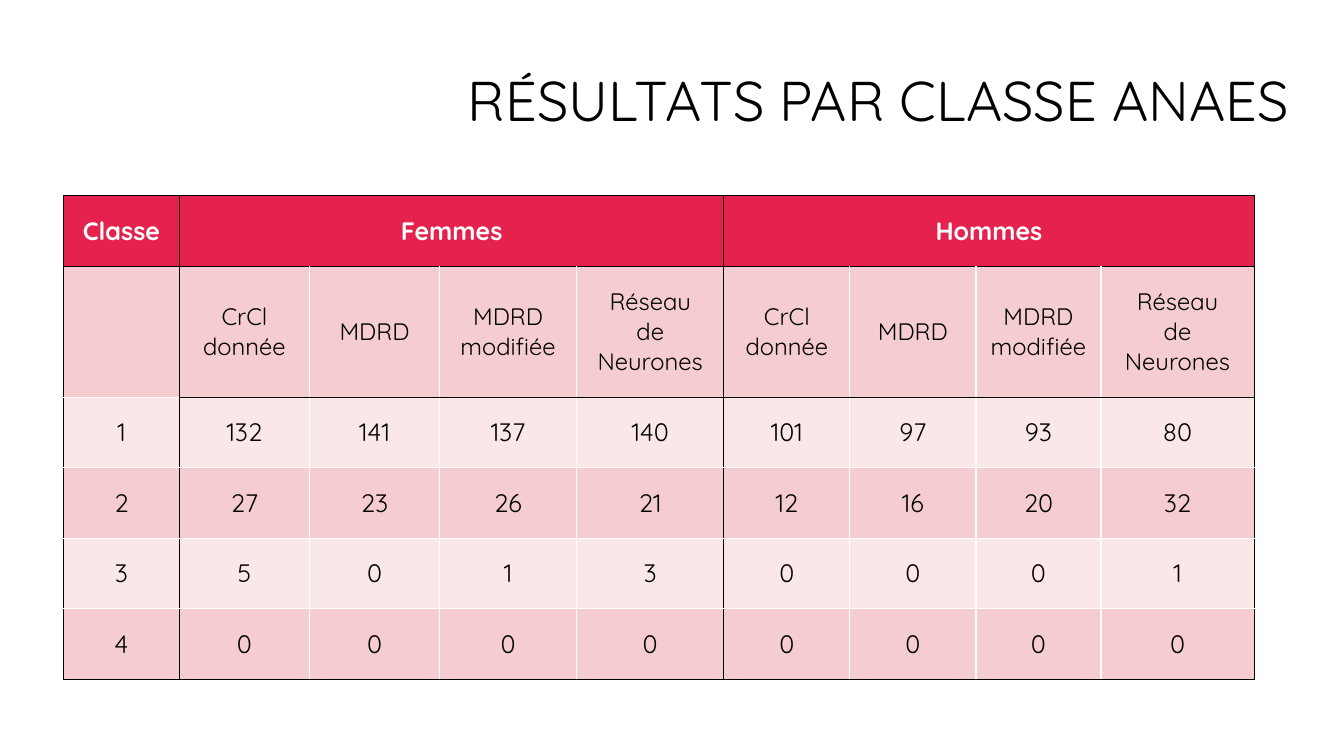
from lxml import etree
from pptx import Presentation
from pptx import util as u
from pptx.dml.color import RGBColor
from pptx.enum import text
from pptx.oxml.ns import qn

FONT = "Quicksand"
COLORS = {
    "black": "000000",
    "white": "FFFFFF",
    "header": "E5224E",
    "dark_band": "F5CDD0",
    "light_band": "FAE8E9",
}
COLUMN_WIDTHS = [1.15, 1.29, 1.29, 1.36, 1.46, 1.25, 1.25, 1.24, 1.52]
ROW_HEIGHTS = [0.7, 1.3, 0.7, 0.7, 0.7, 0.7]
GROUP_EDGES = (0, 1, 5, 9)
METHODS = ["CrCl donnée", "MDRD", "MDRD modifiée", "Réseau\nde Neurones"]
ROWS = [
    ["Classe", "Femmes", "", "", "", "Hommes", "", "", ""],
    [""] + METHODS * 2,
    [1, 132, 141, 137, 140, 101, 97, 93, 80],
    [2, 27, 23, 26, 21, 12, 16, 20, 32],
    [3, 5, 0, 1, 3, 0, 0, 0, 1],
    [4, 0, 0, 0, 0, 0, 0, 0, 0],
]


def write_text(text_frame, content, size, color, alignment, bold=False):
    text_frame.text = content
    for paragraph in text_frame.paragraphs:
        paragraph.alignment = alignment
        for run in paragraph.runs:
            run.font.name = FONT
            run.font.size = u.Pt(size)
            run.font.bold = bold
            run.font.color.rgb = RGBColor.from_string(COLORS[color])


def add_title(slide, content):
    title = slide.shapes.add_textbox(
        u.Inches(3.46), u.Inches(0.32), u.Inches(9.42), u.Inches(1.41))
    title.text_frame.word_wrap = True
    title.text_frame.vertical_anchor = text.MSO_ANCHOR.MIDDLE
    write_text(title.text_frame, content, 40, "black", text.PP_ALIGN.RIGHT)
    title.text_frame.paragraphs[0].line_spacing = 0.9


def horizontal_edge_color(edge, column):
    if edge in (0, 1, len(ROWS)) or (edge == 2 and column > 0):
        return "black"
    return "white"


def vertical_edge_color(edge, row):
    return "black" if row == 0 or edge in GROUP_EDGES else "white"


def draw_borders(cell, row, column):
    properties = cell._tc.get_or_add_tcPr()
    borders = {
        "a:lnL": vertical_edge_color(column, row),
        "a:lnR": vertical_edge_color(column + 1, row),
        "a:lnT": horizontal_edge_color(row, column),
        "a:lnB": horizontal_edge_color(row + 1, column),
    }
    for tag, color in borders.items():
        line = etree.SubElement(properties, qn(tag), w=str(u.Pt(1)))
        fill = etree.SubElement(line, qn("a:solidFill"))
        etree.SubElement(fill, qn("a:srgbClr"), val=COLORS[color])


def format_cell(cell, row, column):
    is_header = row == 0
    band = "header" if is_header else "dark_band" if row % 2 else "light_band"
    if row > 1:
        band = "light_band" if row % 2 == 0 else "dark_band"
    if row in (3, 5):
        band = "dark_band"
    if row == 4:
        band = "light_band"
    draw_borders(cell, row, column)
    cell.fill.solid()
    cell.fill.fore_color.rgb = RGBColor.from_string(COLORS[band])
    cell.vertical_anchor = text.MSO_ANCHOR.MIDDLE
    write_text(cell.text_frame, str(ROWS[row][column]), 17 if row == 1 else 18,
               "white" if is_header else "black",
               text.PP_ALIGN.CENTER, is_header)


def add_results_table(slide):
    frame = slide.shapes.add_table(
        len(ROWS), len(COLUMN_WIDTHS), u.Inches(0.63), u.Inches(1.94),
        u.Inches(sum(COLUMN_WIDTHS)), u.Inches(sum(ROW_HEIGHTS)))
    table = frame.table
    for column, width in zip(table.columns, COLUMN_WIDTHS):
        column.width = u.Inches(width)
    for row, height in zip(table.rows, ROW_HEIGHTS):
        row.height = u.Inches(height)
    for row in range(len(ROWS)):
        for column in range(len(COLUMN_WIDTHS)):
            format_cell(table.cell(row, column), row, column)
    for first, end in zip(GROUP_EDGES[1:], GROUP_EDGES[2:]):
        table.cell(0, first).merge(table.cell(0, end - 1))


def main():
    presentation = Presentation()
    presentation.slide_width = u.Inches(13.33)
    presentation.slide_height = u.Inches(7.5)
    slide = presentation.slides.add_slide(presentation.slide_layouts[6])
    add_title(slide, "RÉSULTATS PAR CLASSE ANAES")
    add_results_table(slide)
    presentation.save("out.pptx")


if __name__ == "__main__":
    main()
